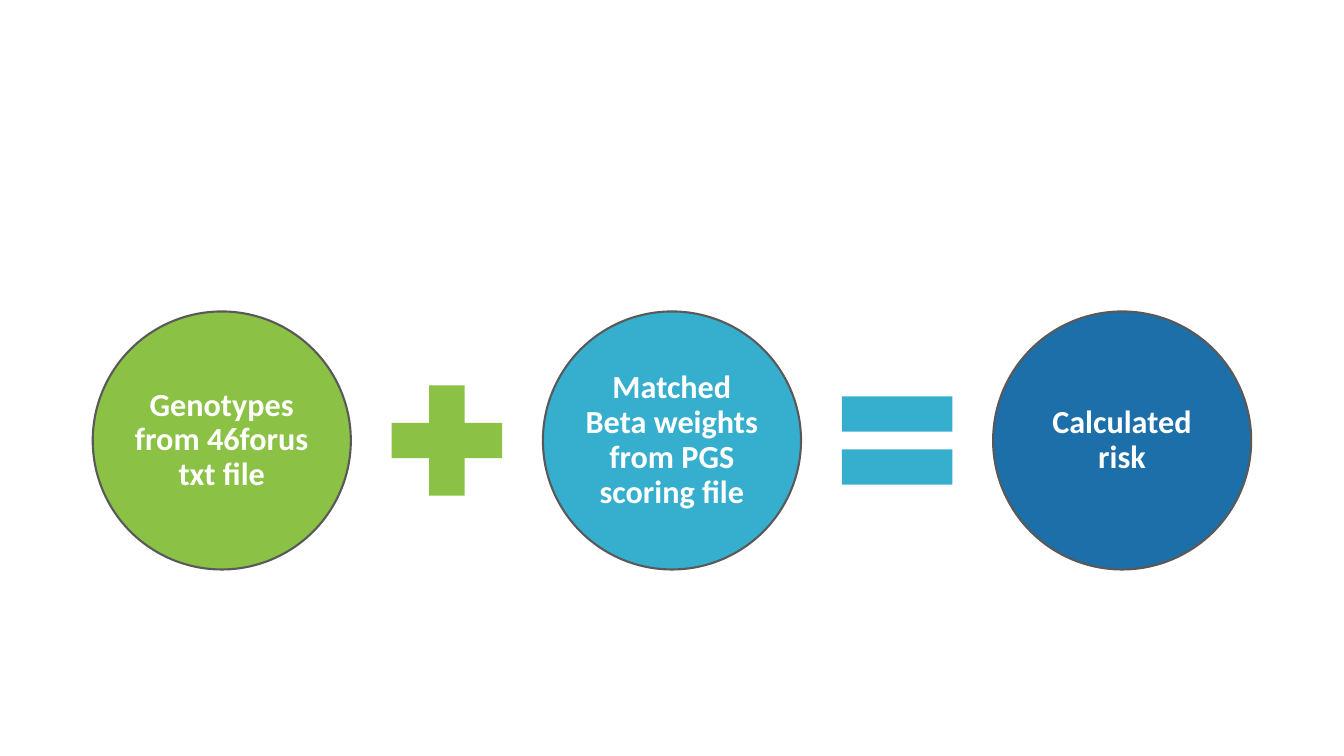
from pptx import Presentation
from pptx.dml.color import RGBColor
from pptx.enum.shapes import MSO_SHAPE
from pptx.enum.text import MSO_ANCHOR, PP_ALIGN
from pptx.util import Inches, Pt

GREEN = RGBColor(0x8B, 0xC1, 0x45)
TEAL = RGBColor(0x36, 0xAF, 0xCE)
BLUE = RGBColor(0x1D, 0x6F, 0xA9)
GREY = RGBColor(0x59, 0x59, 0x59)
WHITE = RGBColor(0xFF, 0xFF, 0xFF)

MIDDLE = 4.37
FIRST_CENTER = 2.2
STEP = 4.465
CIRCLE_SIZE = 2.56
SIGN_SIZE = 1.49


class EquationSlide:
    """Holds the style and the slide, and draws the terms and signs of an equation."""

    font_name = "Calibri"
    font_size = Pt(23)
    inset = Inches(0.03)

    def __init__(self, deck):
        self.page = deck.slides.add_slide(deck.slide_layouts[6])

    def shape(self, kind, center, size, color):
        box = self.page.shapes.add_shape(
            kind, Inches(center - size / 2), Inches(MIDDLE - size / 2), Inches(size), Inches(size)
        )
        box.shadow.inherit = False
        box.fill.solid()
        box.fill.fore_color.rgb = color
        return box

    def sign(self, kind, center, color):
        self.shape(kind, center, SIGN_SIZE, color).line.fill.background()

    def term(self, text, center, color):
        circle = self.shape(MSO_SHAPE.OVAL, center, CIRCLE_SIZE, color)
        circle.line.color.rgb = GREY
        circle.line.width = Pt(1.5)
        frame = circle.text_frame
        frame.word_wrap = True
        frame.vertical_anchor = MSO_ANCHOR.MIDDLE
        frame.margin_left = frame.margin_right = self.inset
        frame.margin_top = frame.margin_bottom = self.inset
        para = frame.paragraphs[0]
        para.alignment = PP_ALIGN.CENTER
        para.line_spacing = 0.9
        span = para.add_run()
        span.text = text
        span.font.name = self.font_name
        span.font.size = self.font_size
        span.font.bold = True
        span.font.color.rgb = WHITE


deck = Presentation()
deck.slide_width = Inches(13.33)
deck.slide_height = Inches(7.5)
equation = EquationSlide(deck)

terms = [
    ("Genotypes from 46forus txt file", GREEN, MSO_SHAPE.MATH_PLUS),
    ("Matched Beta weights from PGS scoring file", TEAL, MSO_SHAPE.MATH_EQUAL),
    ("Calculated risk", BLUE, None),
]
for index, (text, color, sign) in enumerate(terms):
    center = FIRST_CENTER + index * STEP
    equation.term(text, center, color)
    if sign is not None:
        equation.sign(sign, center + STEP / 2, color)

deck.save("out.pptx")
